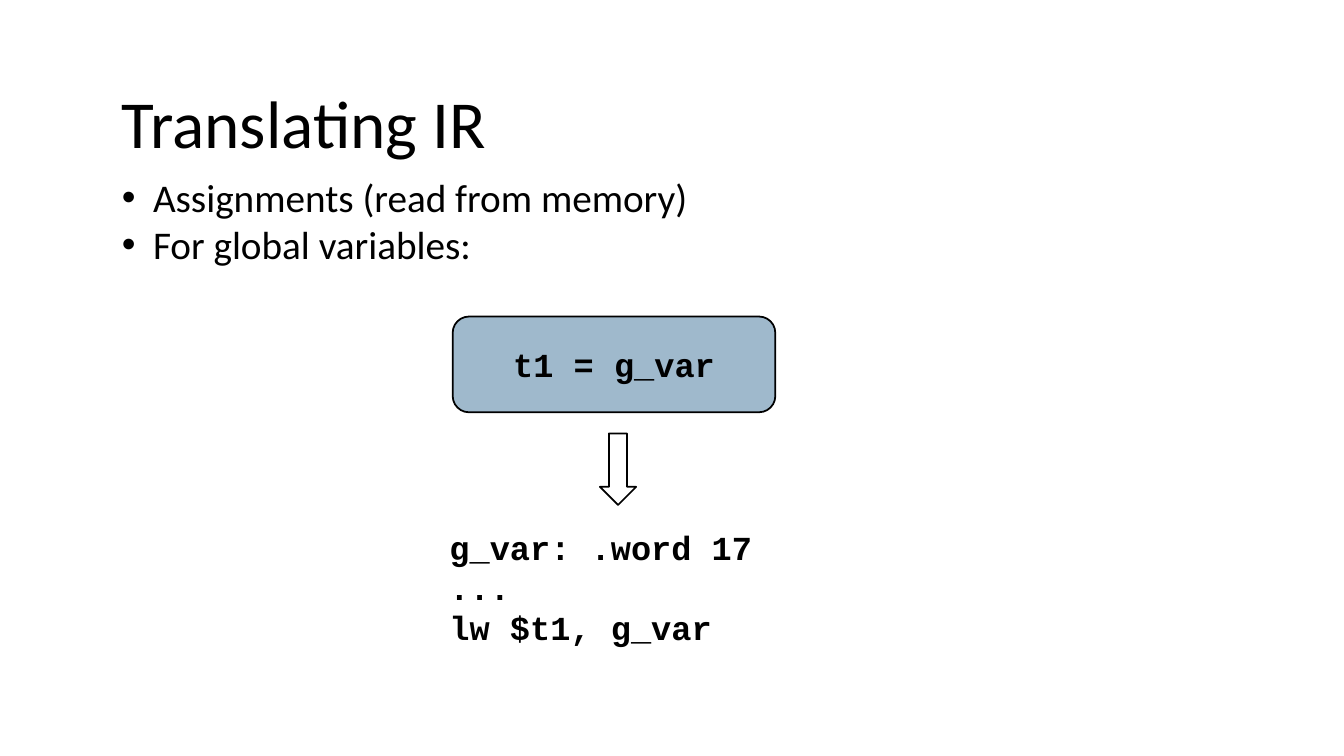
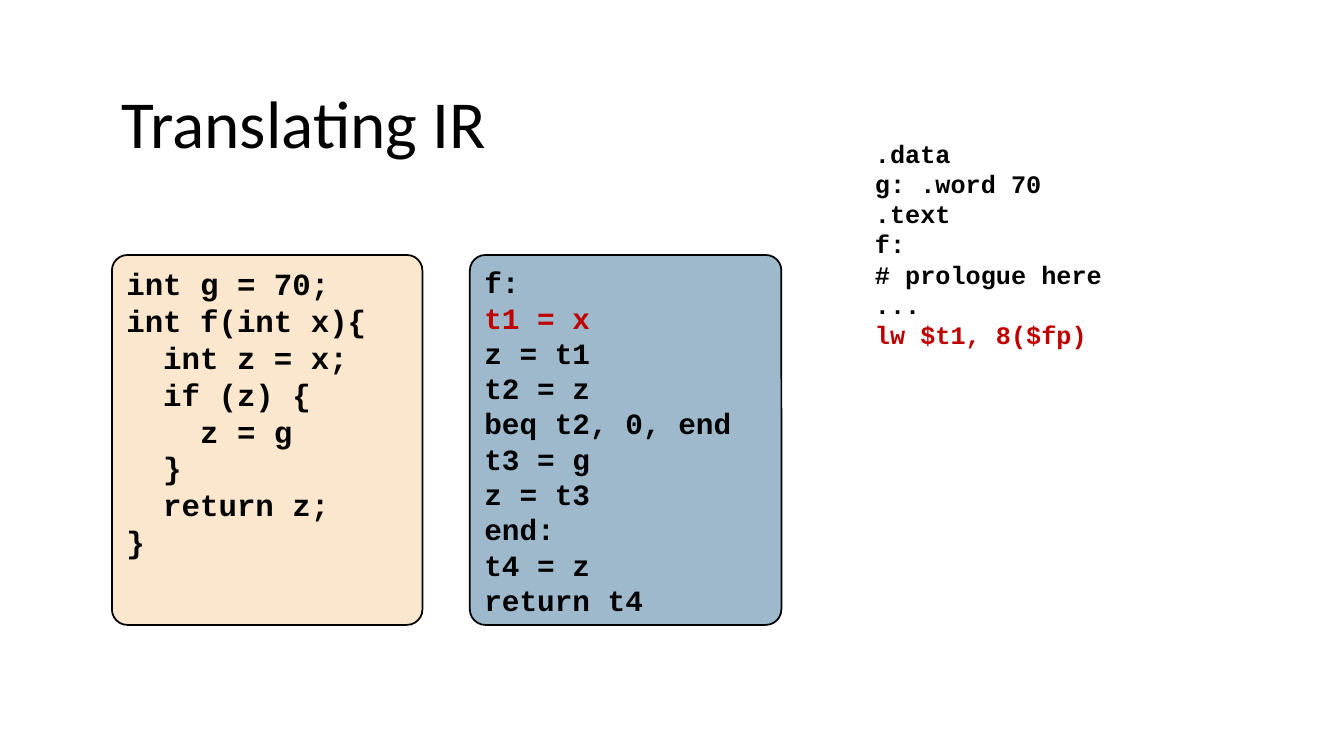
import pptx
import pptx.dml.color
import pptx.enum.shapes
import pptx.enum.text
import pptx.oxml.ns
import pptx.util
from lxml import etree

PX = 9144  # 100 px to the inch
SANS, MONO = "Calibri", "Courier New"
BLACK, WHITE, RED = "000000", "FFFFFF", "C00000"
BLUE, CREAM = "40749B", "FBE6CE"
SHAPE = pptx.enum.shapes.MSO_SHAPE
ANCHOR = pptx.enum.text.MSO_ANCHOR
ALIGN = pptx.enum.text.PP_ALIGN


def px(n):
    return pptx.util.Emu(n * PX)


def rgb(color):
    return pptx.dml.color.RGBColor.from_string(color)


def add_xml(parent, tag, **attrs):
    return etree.SubElement(parent, pptx.oxml.ns.qn(tag), attrs)


def add_bullet(p, indent):
    pPr = p._p.get_or_add_pPr()
    pPr.set("marL", str(px(indent)))
    pPr.set("indent", str(-px(indent)))
    add_xml(pPr, "a:buFont", typeface="Arial")
    add_xml(pPr, "a:buChar", char="•")


def write(tf, lines, size, font=SANS, bold=False, red=(), anchor=ANCHOR.TOP,
          align=ALIGN.LEFT, bullet=0):
    """Fill a frame with one paragraph a line; lines listed in red are marked."""
    tf.word_wrap = True
    tf.vertical_anchor = anchor
    for i, line in enumerate(lines):
        p = tf.paragraphs[0] if i == 0 else tf.add_paragraph()
        p.alignment = align
        if bullet:
            add_bullet(p, bullet)
        r = p.add_run()
        r.text = line
        r.font.name = font
        r.font.size = pptx.util.Pt(size)
        r.font.bold = bold
        r.font.color.rgb = rgb(RED if line in red else BLACK)


def write_code(tf, code, size, **style):
    write(tf, code.split("\n"), size, MONO, True, **style)


def add_text_box(s, *box):
    return s.shapes.add_textbox(*map(px, box)).text_frame


def add_outlined(s, kind, box, fill, alpha=100):
    sp = s.shapes.add_shape(kind, *map(px, box))
    sp.shadow.inherit = False
    sp.fill.solid()
    sp.fill.fore_color.rgb = rgb(fill)
    if alpha < 100:
        color = sp.fill._xPr.find(".//" + pptx.oxml.ns.qn("a:srgbClr"))
        add_xml(color, "a:alpha", val=str(alpha * 1000))
    sp.line.color.rgb = rgb(BLACK)
    sp.line.width = pptx.util.Pt(1.25)
    return sp


def add_panel(s, box, fill, code, size, corner=0.05, alpha=100, **style):
    sp = add_outlined(s, SHAPE.ROUNDED_RECTANGLE, box, fill, alpha)
    sp.adjustments[0] = corner
    write_code(sp.text_frame, code, size, **style)


def add_titled_slide(prs, title):
    s = prs.slides.add_slide(prs.slide_layouts[6])
    write(add_text_box(s, 111, 76, 1109, 91), [title], 48)
    return s


def build_global_read(prs):
    s = add_titled_slide(prs, "Translating IR")
    write(add_text_box(s, 111, 167, 1127, 104),
          ["Assignments (read from memory)", "For global variables:"],
          28, bullet=31)
    add_panel(s, (449, 314, 320, 95), BLUE, "t1 = g_var", 24, corner=0.17,
              alpha=50, anchor=ANCHOR.MIDDLE, align=ALIGN.CENTER)
    add_outlined(s, SHAPE.DOWN_ARROW, (595, 430, 36, 71), WHITE)
    write_code(add_text_box(s, 436, 491, 617, 183),
               "g_var: .word 17\n...\nlw $t1, g_var", 24, anchor=ANCHOR.MIDDLE)


def build_function_example(prs):
    s = add_titled_slide(prs, "Translating IR")
    assembly = """.data
g: .word 70
.text
f:
# prologue here
...
lw $t1, 8($fp)"""
    source = """int g = 70;
int f(int x){
  int z = x;
  if (z) {
    z = g
  }
  return z;
}"""
    ir = """f:
t1 = x
z = t1
t2 = z
beq t2, 0, end
t3 = g
z = t3
end:
t4 = z
return t4"""
    write_code(add_text_box(s, 858, 132, 433, 222), assembly, 18,
               red=["lw $t1, 8($fp)"])
    add_panel(s, (111, 253, 308, 367), CREAM, source, 22)
    add_panel(s, (466, 253, 309, 367), BLUE, ir, 21, alpha=50, red=["t1 = x"])


def main():
    prs = pptx.Presentation()
    prs.slide_width, prs.slide_height = px(1333), px(750)
    build_global_read(prs)
    build_function_example(prs)
    prs.save("out.pptx")


if __name__ == "__main__":
    main()
